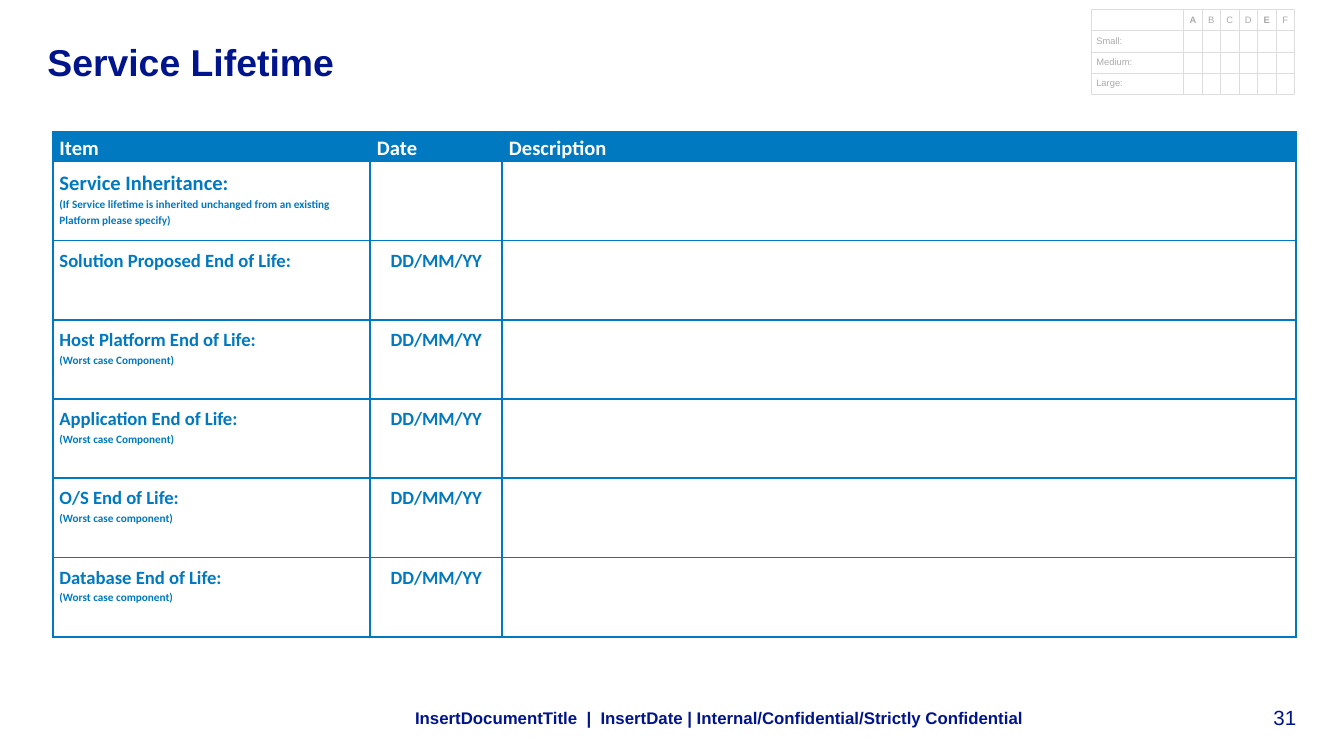
from dataclasses import dataclass
from typing import Optional

from lxml.etree import SubElement
from pptx import Presentation
from pptx.dml.color import RGBColor
from pptx.enum.text import MSO_ANCHOR, MSO_AUTO_SIZE, PP_ALIGN
from pptx.oxml.ns import qn
from pptx.util import Pt

PX = 2286  # EMU per px, 400 px to the inch
COLORS = {"navy": "00148C", "blue": "0079C1", "white": "FFFFFF",
          "rule": "DDDDDE", "gray": "AAAAAC"}


@dataclass
class Style:
    size: float
    color: str
    bold: bool = False
    font: str = "Arial"


@dataclass
class LifeItem:
    name: str
    note: str = ""
    date: str = "DD/MM/YY"
    size: int = 10
    one_paragraph: bool = False


@dataclass
class Grid:
    left: int
    top: int
    cols: list[int]
    rows: list[int]


def rgb(name: str) -> RGBColor:
    return RGBColor.from_string(COLORS[name])


def add_run(p, text: str, style: Style) -> None:
    r = p.add_run()
    r.text = text
    r.font.name, r.font.size, r.font.bold = style.font, Pt(style.size), style.bold
    r.font.color.rgb = rgb(style.color)


def place(sp, left: int, top: int, width: int, height: int) -> None:
    sp.left, sp.top, sp.width, sp.height = (v * PX for v in (left, top, width, height))


def set_margins(box, x: int, y: int) -> None:
    box.margin_left = box.margin_right = x * PX
    box.margin_top = box.margin_bottom = y * PX


def add_text(s, box: tuple[int, int, int, int], text: str, style: Style, anchor):
    tf = s.shapes.add_textbox(*(v * PX for v in box)).text_frame
    tf.word_wrap = True
    tf.vertical_anchor = anchor
    add_run(tf.paragraphs[0], text, style)
    return tf


def add_grid(s, grid: Grid):
    table = s.shapes.add_table(len(grid.rows), len(grid.cols), grid.left * PX, grid.top * PX,
                               sum(grid.cols) * PX, sum(grid.rows) * PX).table
    table.first_row = table.horz_banding = False
    for col, width in zip(table.columns, grid.cols):
        col.width = width * PX
    for row, height in zip(table.rows, grid.rows):
        row.height = height * PX
    return table


def format_cell(cell, color: str, widths: dict[str, float], margins: tuple[int, int],
                fill: Optional[str] = None) -> None:
    set_margins(cell, *margins)
    tc_pr = cell._tc.get_or_add_tcPr()
    for side in "LRTB":
        ln = SubElement(tc_pr, qn(f"a:ln{side}"), w=str(int(Pt(widths[side]))))
        SubElement(SubElement(ln, qn("a:solidFill")), qn("a:srgbClr"), val=COLORS[color])
    if fill:
        cell.fill.solid()
        cell.fill.fore_color.rgb = rgb(fill)
    else:
        cell.fill.background()


def set_empty_size(cell, size: int) -> None:
    SubElement(cell.text_frame.paragraphs[0]._p, qn("a:endParaRPr"), sz=str(size * 100))


def add_size_matrix(s) -> None:
    letters, sizes = "ABCDEF", ["Small:", "Medium:", "Large:"]
    table = add_grid(s, Grid(3247, 28, [276] + [55] * len(letters), [63] * 4))
    texts = [["", *letters]] + [[size] + [""] * len(letters) for size in sizes]
    for i, row in enumerate(texts):
        for j, text in enumerate(row):
            cell = table.cell(i, j)
            widths = {"L": 0.25 if j else 0.5, "R": 0.25,
                      "T": 0.5 if i < 2 else 0.25, "B": 0.25 if i else 0.5}
            format_cell(cell, "rule", widths, (16, 0))
            cell.vertical_anchor = MSO_ANCHOR.MIDDLE
            if not text:
                set_empty_size(cell, 5)
                continue
            p = cell.text_frame.paragraphs[0]
            p.alignment = PP_ALIGN.LEFT if i else PP_ALIGN.CENTER
            p.space_after = Pt(6)
            add_run(p, text, Style(5, "gray", text in ("A", "E")))


def write_item(tf, item: LifeItem) -> None:
    p = tf.paragraphs[0]
    p.line_spacing = 1.15
    add_run(p, item.name, Style(item.size, "blue", True, "Calibri"))
    if item.note:
        if item.one_paragraph:
            p.add_line_break()
        else:
            p = tf.add_paragraph()
            p.line_spacing = 1.15
        add_run(p, item.note, Style(6, "blue", True, "Calibri"))


def add_lifetime_table(s, items: list[LifeItem]) -> None:
    table = add_grid(s, Grid(157, 393, [945, 393, 2363], [80] + [236] * len(items)))
    widths = dict.fromkeys("LRTB", 1)
    # Header row
    for cell, text in zip(table.rows[0].cells, ["Item", "Date", "Description"]):
        format_cell(cell, "blue", widths, (20, 0), "blue")
        p = cell.text_frame.paragraphs[0]
        p.line_spacing = 1.15
        add_run(p, text, Style(11, "white", True, "Calibri"))
    # Item rows
    for i, item in enumerate(items, 1):
        name, date, description = table.rows[i].cells
        for cell in (name, date, description):
            format_cell(cell, "blue", widths, (20, 17))
        write_item(name.text_frame, item)
        set_empty_size(description, 10)
        if item.date:
            p = date.text_frame.paragraphs[0]
            p.alignment, p.line_spacing = PP_ALIGN.CENTER, 1.15
            add_run(p, item.date, Style(10, "blue", True, "Calibri"))
        else:
            set_empty_size(date, 10)


ITEMS = [
    LifeItem("Service Inheritance:",
             "(If Service lifetime is inherited unchanged from an existing Platform please specify)",
             date="", size=11, one_paragraph=True),
    LifeItem("Solution Proposed End of Life:"),
    LifeItem("Host Platform End of Life:", "(Worst case Component)"),
    LifeItem("Application End of Life:", "(Worst case Component)"),
    LifeItem("O/S End of Life:", "(Worst case component)"),
    LifeItem("Database End of Life:", "(Worst case component)"),
]


def main() -> None:
    prs = Presentation()
    prs.slide_width, prs.slide_height = 4000 * PX, 2250 * PX
    s = prs.slides.add_slide(prs.slide_layouts[5])

    # Title
    title = s.shapes.title
    place(title, 141, 116, 2832, 188)
    tf = title.text_frame
    set_margins(tf, 0, 0)
    tf.auto_size, tf.vertical_anchor = MSO_AUTO_SIZE.NONE, MSO_ANCHOR.TOP
    tf.paragraphs[0].alignment = PP_ALIGN.LEFT
    add_run(tf.paragraphs[0], "Service Lifetime", Style(20, "navy", True))

    # Tables
    add_size_matrix(s)
    add_lifetime_table(s, ITEMS)

    # Footer and page number
    tf = add_text(s, (1196, 2084, 2532, 104),
                  "InsertDocumentTitle  |  InsertDate | Internal/Confidential/Strictly Confidential",
                  Style(9, "navy", True), MSO_ANCHOR.MIDDLE)
    tf.paragraphs[0].space_after = Pt(6)
    tf = add_text(s, (3626, 2096, 232, 76), "31", Style(11, "navy"), MSO_ANCHOR.BOTTOM)
    set_margins(tf, 0, 0)
    tf.paragraphs[0].alignment = PP_ALIGN.RIGHT

    prs.save("out.pptx")


if __name__ == "__main__":
    main()
